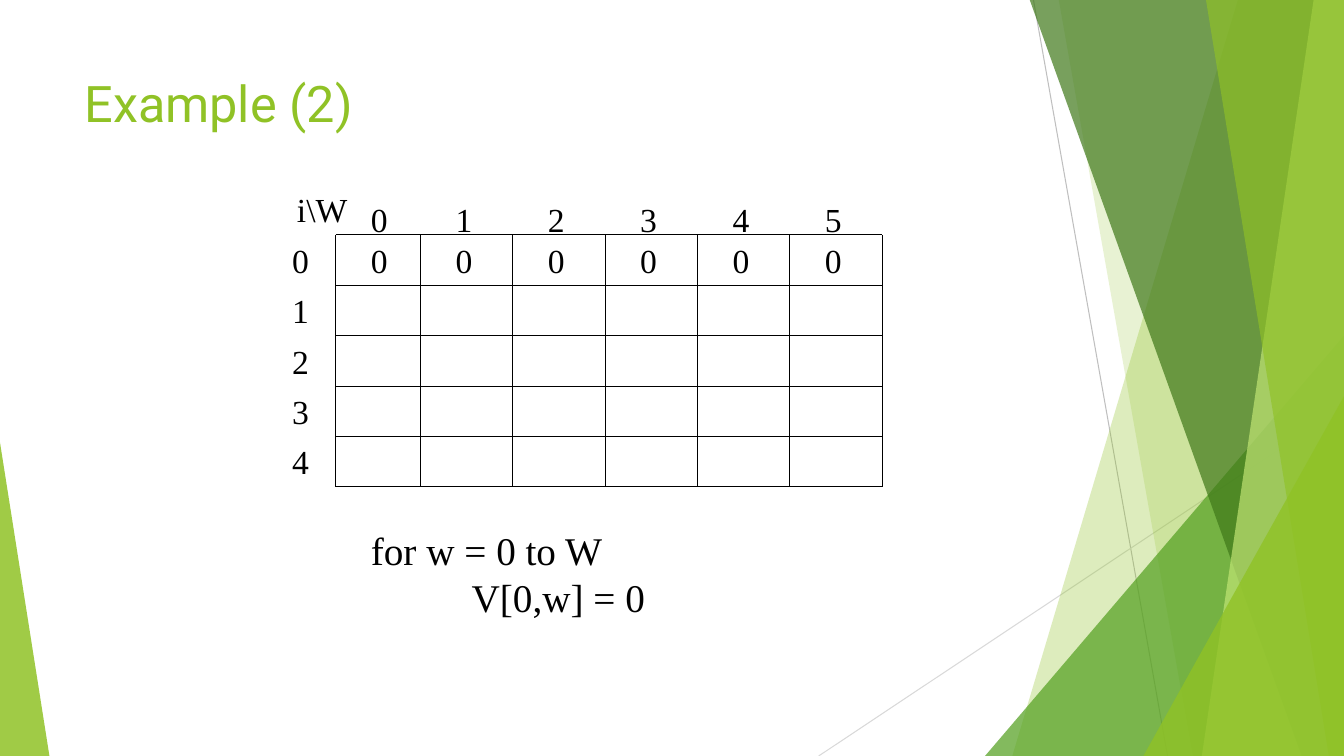
from dataclasses import dataclass

from pptx import Presentation
from pptx.dml.color import RGBColor
from pptx.enum.shapes import MSO_CONNECTOR, MSO_SHAPE
from pptx.enum.text import MSO_AUTO_SIZE, PP_ALIGN
from pptx.oxml.ns import qn
from pptx.oxml.xmlchemy import OxmlElement
from pptx.util import Inches, Pt

STRAIGHT = MSO_CONNECTOR.STRAIGHT
TRIANGLE = MSO_SHAPE.ISOSCELES_TRIANGLE
FIT_SHAPE = MSO_AUTO_SIZE.SHAPE_TO_FIT_TEXT
NO_FIT = MSO_AUTO_SIZE.NONE
LEFT, CENTER = PP_ALIGN.LEFT, PP_ALIGN.CENTER

WIDTH, HEIGHT = 13.33, 7.5


@dataclass(frozen=True)
class Theme:
    lime: str = "90C226"
    green: str = "54A021"
    forest: str = "3F7819"
    pale: str = "C0E474"
    ink: str = "000000"
    gray: str = "BFBFBF"
    light_gray: str = "D9D9D9"
    title_font: str = "Roboto"
    body_font: str = "Times New Roman"
    title_size: int = 36
    code_size: int = 28
    cell_size: int = 24
    rule: float = 0.75


class SlideBuilder:
    def __init__(self, slide, theme):
        self.shapes = slide.shapes
        self.theme = theme

    def line(self, x1, y1, x2, y2, color):
        s = self.shapes.add_connector(
            STRAIGHT, Inches(x1), Inches(y1), Inches(x2), Inches(y2))
        s.line.color.rgb = RGBColor.from_string(color)
        s.line.width = Pt(self.theme.rule)
        s._element.spPr.append(OxmlElement("a:effectLst"))

    def paint(self, s, color, opacity):
        """Fill a shape with a see-through colour; opacity is in percent."""
        s.shadow.inherit = False
        s.fill.solid()
        s.fill.fore_color.rgb = RGBColor.from_string(color)
        s.line.fill.background()
        alpha = OxmlElement("a:alpha")
        alpha.set("val", str(opacity * 1000))
        s._element.spPr.find(".//" + qn("a:srgbClr")).append(alpha)

    def band(self, top_x, bottom_x, color, opacity):
        """Draw a band from a slanted left edge to the slide's right edge."""
        top = -0.01
        corners = [(WIDTH, top), (WIDTH, HEIGHT), (bottom_x, HEIGHT)]
        outline = self.shapes.build_freeform(Inches(top_x), Inches(top))
        outline.add_line_segments(
            [(Inches(x), Inches(y)) for x, y in corners], close=True)
        self.paint(outline.convert_to_shape(), color, opacity)

    def triangle(self, x, y, w, apex, color, opacity):
        """Draw a triangle standing on the slide's bottom edge."""
        s = self.shapes.add_shape(
            TRIANGLE, Inches(x), Inches(y), Inches(w), Inches(HEIGHT - y))
        s.adjustments[0] = apex
        self.paint(s, color, opacity)

    def text(self, x, y, w, h, lines, size, font=None, color=None,
             wrap=True, align=LEFT, fit=FIT_SHAPE):
        """Add a text box; lines holds (text, left indent in inches) pairs."""
        s = self.shapes.add_textbox(Inches(x), Inches(y), Inches(w), Inches(h))
        tf = s.text_frame
        for name, value in {"word_wrap": wrap, "auto_size": fit}.items():
            setattr(tf, name, value)
        style = {"name": font or self.theme.body_font, "size": Pt(size)}
        for i, (words, indent) in enumerate(lines):
            p = tf.add_paragraph() if i else tf.paragraphs[0]
            p.alignment = align
            if indent:
                p._p.get_or_add_pPr().set("marL", str(Inches(indent)))
            r = p.add_run()
            r.text = words
            for name, value in style.items():
                setattr(r.font, name, value)
            r.font.color.rgb = RGBColor.from_string(color or self.theme.ink)

    def digit(self, x, y, value):
        self.text(x, y, 0.37, 0.5, [(str(value), 0)], self.theme.cell_size,
                  wrap=False)


def draw_backdrop(b):
    t = b.theme
    b.line(10.25, 0, 11.58, HEIGHT, t.gray)
    b.line(WIDTH, 4.03, 8.12, HEIGHT, t.light_gray)
    b.band(12.28, 10.04, t.lime, 30)
    b.band(10.5, 11.83, t.lime, 20)
    b.triangle(9.77, 3.33, 3.56, 1, t.green, 72)
    b.band(10.21, 12.91, t.forest, 70)
    b.band(13.03, 11.92, t.pale, 70)
    b.band(11.96, 13.18, t.lime, 65)
    b.triangle(11.34, 3.93, 1.99, 1, t.lime, 80)
    b.triangle(0, 4.39, 0.49, 0, t.lime, 85)


def draw_value_grid(b):
    """Draw V[i,w]: items 0-4 down, weights 0-5 across, first row zero."""
    ink = b.theme.ink
    items, weights = 5, 6
    left, top, row_h = 3.33, 2.33, 0.5
    # The first column is a little narrower than the rest.
    xs = [left] + [4.17 + 0.916 * i for i in range(weights)]
    ys = [top + row_h * i for i in range(items + 1)]
    for x in xs:
        b.line(x, ys[0], x, ys[-1], ink)
    for y in ys:
        b.line(xs[0], y, xs[-1], y, ink)
    for weight, x in enumerate(xs[:-1]):
        b.digit(x + 0.25, 1.92, weight)
        b.digit(x + 0.25, top, 0)
    for item, y in enumerate(ys[:-1]):
        b.digit(2.8, y, item)
    b.text(2.82, 1.83, 0.75, 0.5, [("i\\W", 0)], b.theme.cell_size,
           align=CENTER)


def main():
    prs = Presentation()
    prs.slide_width, prs.slide_height = Inches(WIDTH), Inches(HEIGHT)
    t = Theme()
    b = SlideBuilder(prs.slides.add_slide(prs.slide_layouts[6]), t)
    draw_backdrop(b)
    b.text(0.74, 0.67, 9.4, 1.44, [("Example (2)", 0)], t.title_size,
           font=t.title_font, color=t.lime, fit=NO_FIT)
    draw_value_grid(b)
    b.text(3.58, 5.17, 3.75, 1.03,
           [("for w = 0 to W", 0), ("V[0,w] = 0", 1)], t.code_size)
    prs.save("out.pptx")


if __name__ == "__main__":
    main()
